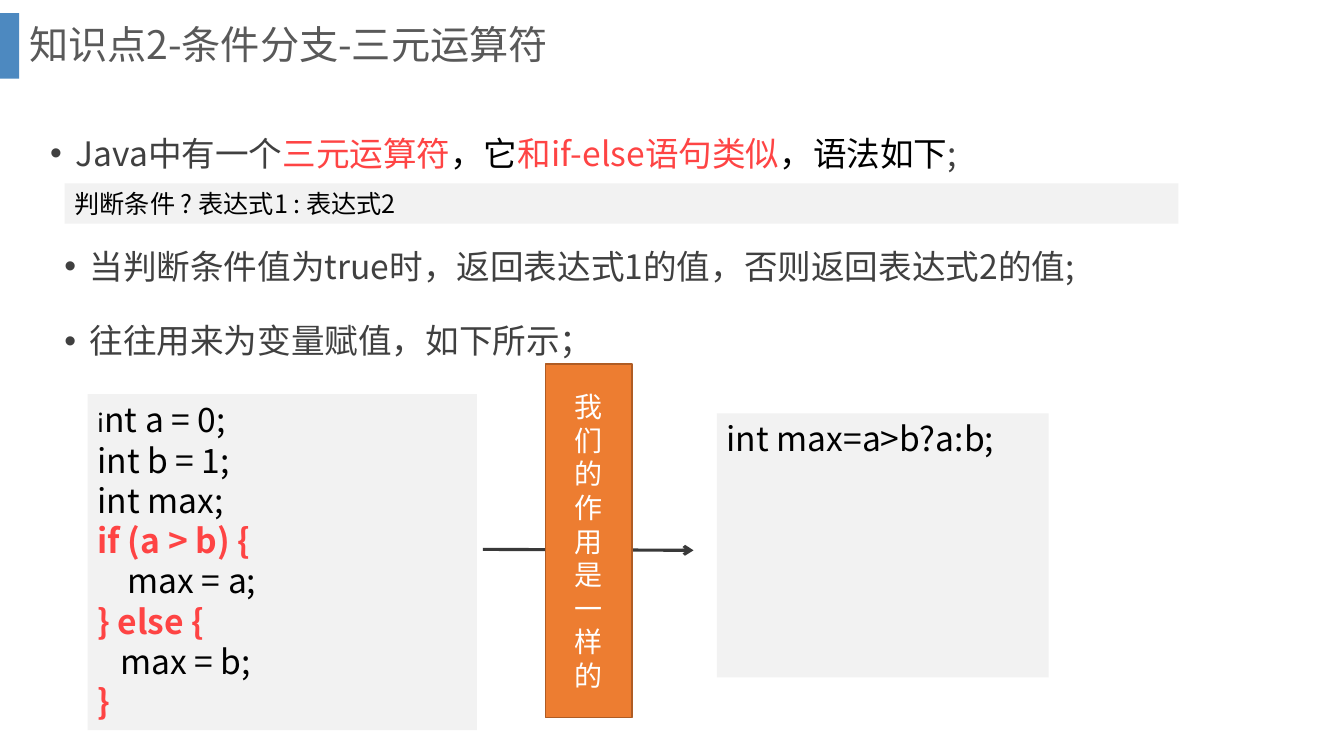
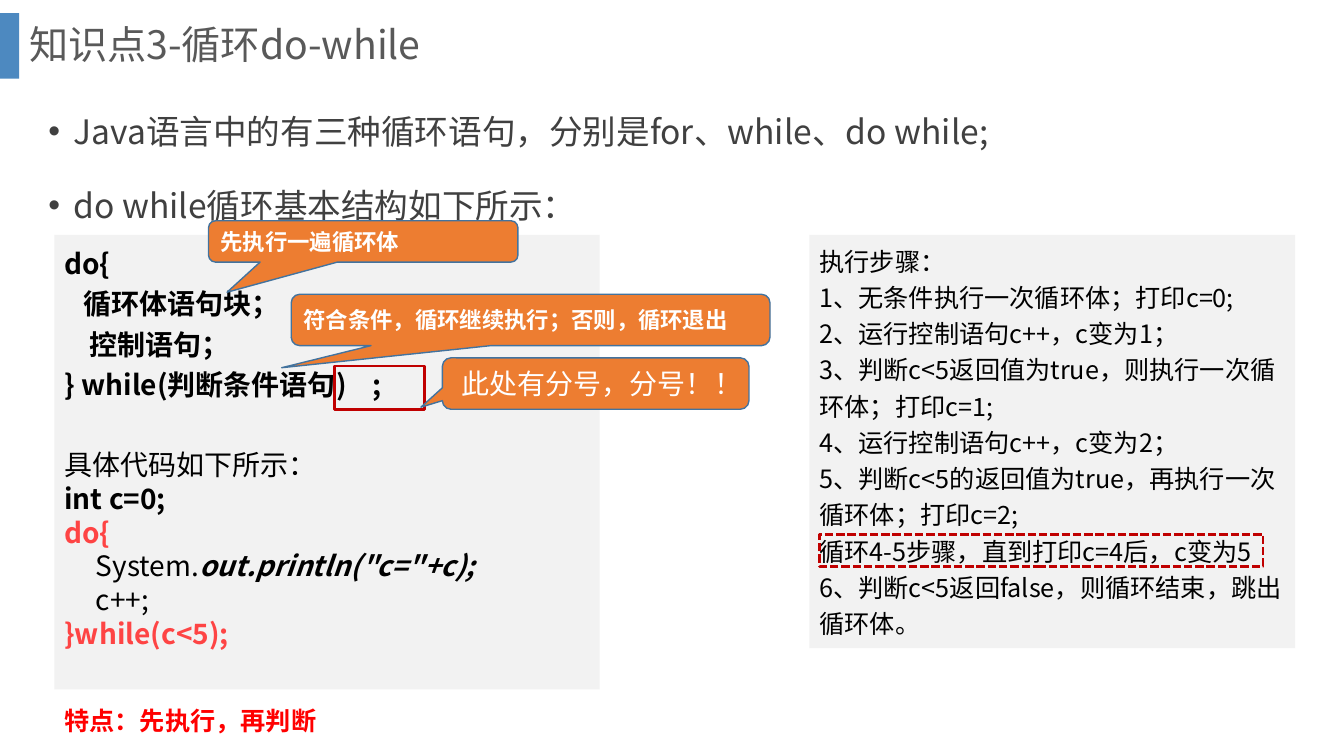
from lxml import etree
from pptx import Presentation
from pptx.dml.color import RGBColor
from pptx.enum.dml import MSO_LINE
from pptx.enum.shapes import MSO_CONNECTOR, MSO_SHAPE
from pptx.enum.text import MSO_ANCHOR, PP_ALIGN
from pptx.oxml.ns import qn
from pptx.util import Pt

RECT = MSO_SHAPE.RECTANGLE
BUBBLE = MSO_SHAPE.ROUNDED_RECTANGULAR_CALLOUT
STRAIGHT = MSO_CONNECTOR.STRAIGHT
DASH = MSO_LINE.SQUARE_DOT
TOP, MIDDLE = MSO_ANCHOR.TOP, MSO_ANCHOR.MIDDLE
LEFT, CENTER = PP_ALIGN.LEFT, PP_ALIGN.CENTER


class Theme:
    """Colours, fonts and type sizes in one place."""
    band, panel, orange = "2E75B6", "F2F2F2", "ED7D31"
    rust, navy, frame, arrow = "AF5C24", "43739E", "C00000", "393939"
    title, body, ink, white = "595959", "404040", "000000", "FFFFFF"
    key, alert = "FE4444", "FF0000"
    font, sans, plain = "Noto Sans CJK SC", "Calibri", "Arial"
    head, large, code, small, note = 28, 24, 20, 18, 16


T = Theme


def look(size, color=T.ink, name=T.font, bold=False):
    return {"size": Pt(size), "name": name, "bold": bold, "color": color}


# Looks of text and of paragraphs
HEAD = look(T.head, T.title)
BODY = look(T.large, T.body)
LARGE = look(T.large)
SMALL = look(T.small)
CODE = look(T.code)
BOLD = look(T.code, bold=True)
NOTE = look(T.note, T.white, bold=True)
RED = {"color": T.key}
INK = {"color": T.ink}
KEY = {"color": T.key, "bold": True}

TIGHT = {"line_spacing": 0.9}
LOOSE = {"line_spacing": 1.2}
LIST = {"line_spacing": 1.5, "space_before": Pt(10)}


# Text
def style(font, form):
    for name, value in form.items():
        if name == "color":
            font.color.rgb = RGBColor.from_string(value)
        else:
            setattr(font, name, value)


def bullet(para):
    props = para._p.get_or_add_pPr()
    props.set("marL", str(Pt(18)))
    props.set("indent", str(-Pt(18)))
    etree.SubElement(props, qn("a:buFont"), typeface="Arial")
    etree.SubElement(props, qn("a:buChar"), char="•")


def write(frame, lines, base, form=None, dots=False, align=LEFT):
    """Append lines; a line is a string or a list of (text, changes)."""
    for line in lines:
        first = not frame.paragraphs[-1].runs
        para = frame.paragraphs[-1] if first else frame.add_paragraph()
        para.alignment = align
        if dots:
            bullet(para)
        for name, value in (form or {}).items():
            if not (first and name == "space_before"):
                setattr(para, name, value)
        parts = [(line, {})] if isinstance(line, str) else line
        for text, change in parts:
            run = para.add_run()
            run.text = text
            style(run.font, {**base, **change})
            etree.SubElement(run._r.get_or_add_rPr(), qn("a:ea"),
                             typeface=T.font)


def label(slide, box, lines, base, form=None, dots=False, anchor=TOP):
    frame = slide.shapes.add_textbox(*map(Pt, box)).text_frame
    frame.word_wrap = True
    frame.vertical_anchor = anchor
    write(frame, lines, base, form, dots)


# Shapes
def shape(slide, box, fill=None, line=None, width=1, kind=RECT):
    item = slide.shapes.add_shape(kind, *map(Pt, box))
    item.shadow.inherit = False
    if fill:
        item.fill.solid()
        item.fill.fore_color.rgb = RGBColor.from_string(fill)
    else:
        item.fill.background()
    if line:
        item.line.color.rgb = RGBColor.from_string(line)
        item.line.width = Pt(width)
    else:
        item.line.fill.background()
    return item


def panel(slide, box, lines, base, form=None):
    frame = shape(slide, box, T.panel).text_frame
    frame.word_wrap = True
    frame.vertical_anchor = TOP
    write(frame, lines, base, form)
    return frame


def callout(slide, box, tip, text, base=NOTE, pad=7.2):
    item = shape(slide, box, T.orange, T.navy, kind=BUBBLE)
    item.adjustments[0], item.adjustments[1] = tip
    frame = item.text_frame
    frame.word_wrap = True
    frame.margin_left = Pt(pad)
    frame.vertical_anchor = MIDDLE
    write(frame, [text], base)


def arrow(slide, start, end):
    item = slide.shapes.add_connector(STRAIGHT, *map(Pt, start + end))
    item.line.color.rgb = RGBColor.from_string(T.arrow)
    item.line.width = Pt(2.25)
    etree.SubElement(item.line._get_or_add_ln(), qn("a:tailEnd"),
                     type="arrow")
    etree.SubElement(item._element.spPr, qn("a:effectLst"))


# Shared page: blue band and title
def page(deck, title):
    slide = deck.slides.add_slide(deck.slide_layouts[6])
    band = shape(slide, (0, 9.4, 13.7, 46.8), T.band)
    color = band._element.spPr.find(qn("a:solidFill"))[0]
    etree.SubElement(color, qn("a:alpha"), val="85000")
    label(slide, (13.7, 0, 911.5, 67), [title], HEAD, TIGHT, anchor=MIDDLE)
    return slide


def ternary(deck):
    slide = page(deck, "知识点2-条件分支-三元运算符")

    # Rule and syntax
    label(slide, (28.8, 77, 867.6, 48), [[
        ("Java中有一个", {}), ("三元运算符", RED), ("，它", INK),
        ("和if-else语句类似", RED), ("，语法如下", INK), (";", {}),
    ]], BODY, LIST, dots=True)
    panel(slide, (46.1, 131, 795.6, 28.8),
          ["判断条件 ? 表达式1 : 表达式2"], SMALL)
    label(slide, (38.9, 157.7, 867.6, 115), [
        "当判断条件值为true时，返回表达式1的值，否则返回表达式2的值;",
        "往往用来为变量赋值，如下所示；",
    ], BODY, LIST, dots=True)

    # Long and short code
    panel(slide, (62.6, 281.5, 278, 240), [
        [("i", {"size": Pt(T.small)}), ("nt a = 0;", {})],
        "int b = 1;",
        "int max;",
        [("if (a > b) {", KEY)],
        "    max = a;",
        [("} else {", KEY)],
        "   max = b;",
        [("}", KEY)],
    ], LARGE)
    panel(slide, (512, 295.2, 237, 188.6), ["int max=a>b?a:b;"], LARGE)

    # Arrow with upright sign
    arrow(slide, (345, 392.4), (495.4, 393.1))
    sign = shape(slide, (389.5, 260, 62, 252.7), T.orange, T.rust)
    sign.text_frame.vertical_anchor = MIDDLE
    write(sign.text_frame, list("我们的作用是一样的"),
          look(T.code, T.white, T.sans), align=CENTER)


def loop(deck):
    slide = page(deck, "知识点3-循环do-while")
    label(slide, (27.4, 61.2, 867.6, 194), [
        "Java语言中的有三种循环语句，分别是for、while、do while;",
        "do while循环基本结构如下所示：",
    ], BODY, LIST, dots=True)

    # Structure and sample code
    frame = panel(slide, (38.9, 167.8, 389.5, 324.7), [
        "do{",
        "   循环体语句块；",
        "    控制语句；",
        "} while(判断条件语句)    ;",
    ], BOLD, LOOSE)
    write(frame, ["具体代码如下所示："], CODE,
          {**LOOSE, "space_before": Pt(28.6)})
    write(frame, [
        [("int c=0;", {"bold": True})],
        [("do{", KEY)],
        [("     System.", {}),
         ('out.println("c="+c);', {"bold": True, "italic": True})],
        "     c++;",
        [("}while(c<5);", KEY)],
    ], CODE)
    shape(slide, (239, 261.4, 64, 31), line=T.frame, width=2)

    # Steps
    panel(slide, (578.2, 167.8, 347, 295.2), [
        "执行步骤：",
        "1、无条件执行一次循环体；打印c=0;",
        "2、运行控制语句c++，c变为1；",
        "3、判断c<5返回值为true，则执行一次循环体；打印c=1;",
        "4、运行控制语句c++，c变为2；",
        "5、判断c<5的返回值为true，再执行一次循环体；打印c=2;",
        "循环4-5步骤，直到打印c=4后，c变为5",
        "6、判断c<5返回false，则循环结束，跳出循环体。",
    ], SMALL, LOOSE)
    mark = shape(slide, (585.4, 381.6, 316.8, 23), line=T.frame, width=2)
    mark.line.dash_style = DASH

    # Callouts and summary
    callout(slide, (316, 255.6, 219, 36.7), (-0.57, 0.46),
            "此处有分号，分号！！", look(T.code, T.white), pad=12)
    label(slide, (38.9, 502.6, 195, 26.6), ["特点：先执行，再判断"],
          look(T.small, T.alert, T.plain, True), TIGHT)
    callout(slide, (208, 210.2, 342, 36.7), (-0.52, 0.93),
            "符合条件，循环继续执行；否则，循环退出")
    callout(slide, (149, 157.7, 221, 29.5), (-0.44, 1.23),
            "先执行一遍循环体")


def main():
    deck = Presentation()
    deck.slide_width, deck.slide_height = Pt(960), Pt(540)
    ternary(deck)
    loop(deck)
    deck.save("out.pptx")


if __name__ == "__main__":
    main()
